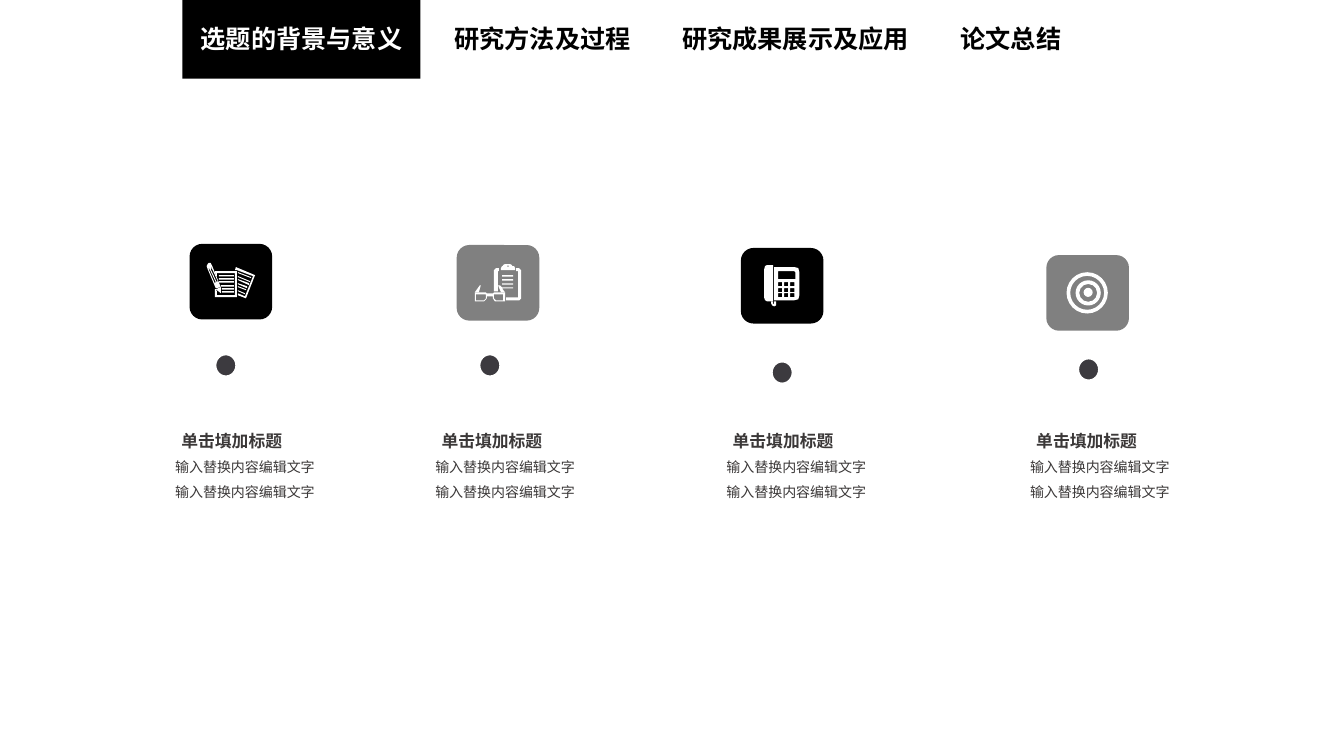
from dataclasses import dataclass

from lxml import etree
from pptx import Presentation
from pptx import util as u
from pptx.dml import color
from pptx.enum import shapes, text
from pptx.oxml import ns

Pt = u.Pt
Preset = shapes.MSO_SHAPE
Align = text.PP_ALIGN


@dataclass(frozen=True)
class Theme:
    font: str = "Noto Sans CJK SC"
    black: str = "000000"
    white: str = "FFFFFF"
    gray: str = "808080"
    dot: str = "3C3A3F"
    caption: str = "3B3838"
    tab_size: float = 18
    heading_size: float = 12
    body_size: float = 10


theme = Theme()
ICON_UNIT = 0.72  # points per step of the icon drawing grid


def paint(shape, fill):
    shape.shadow.inherit = False
    shape.fill.solid()
    shape.fill.fore_color.rgb = color.RGBColor.from_string(fill)
    shape.line.fill.background()
    return shape


def add_preset(parent, preset, box, fill):
    return paint(parent.shapes.add_shape(preset, *map(Pt, box)), fill)


# Slide
presentation = Presentation()
presentation.slide_width, presentation.slide_height = Pt(960), Pt(540)
slide = presentation.slides.add_slide(presentation.slide_layouts[5])

# Text styles
tab_style = dict(size=theme.tab_size, bold=True, fill=theme.black, align=Align.LEFT,
                 line=21.6, before=0, insets=(7.2, 3.6, 0, 3.6))
active_style = tab_style | dict(fill=theme.white, insets=(13, 17.5, 0, 0))
heading_style = dict(size=theme.heading_size, bold=True, fill=theme.caption,
                     align=Align.CENTER, line=17.3, before=0, insets=(0, 0, 0, 0))
body_style = dict(size=theme.body_size, bold=False, fill=theme.caption,
                  align=Align.CENTER, line=12, before=6, insets=(7.2, 3.6, 7.2, 3.6))

# Navigation tabs, the active one being the title
title = paint(slide.shapes.title, theme.black)
texts = [(title, (130.3, -0.7, 169.9, 56.9), ["选题的背景与意义"], active_style)]
for label, left, width in [("研究方法及过程", 317.5, 141.8),
                           ("研究成果展示及应用", 480.2, 177.8),
                           ("论文总结", 679, 87.1)]:
    texts.append((None, (left, 13.2, width, 28.8), [label], tab_style))

# Icon outlines: each icon lists shapes, each shape lists its outline and holes
papers = [
    [[(25, 28), (27, 33), (27, 29), (45, 29), (45, 51), (27, 51), (27, 47), (26, 45),
      (25, 45), (25, 53), (47, 53), (47, 27), (25, 27)]],
    [[(65, 31), (46, 23), (45, 26), (47, 26), (63, 32), (55, 52), (48, 49), (48, 51),
      (56, 54)]],
    [[(31, 49), (31, 43), (26, 45)]],
    [[(22, 21), (21, 19), (19, 19), (18, 20), (17, 22), (18, 25), (23, 23)]],
    [[(31, 43), (23, 23), (18, 25), (26, 44)],
     [(22, 24), (28, 37), (27, 38), (21, 25)],
     [(25, 39), (19, 25), (20, 25), (26, 38)]],
]
for top, right in zip((28, 32, 35, 39, 42, 46), (61, 60, 59, 57, 56, 55)):
    drop = (right - 48) * 0.38
    papers.append([[(48, top), (right, top + drop), (right, top + drop + 1.4),
                    (48, top + 1.4)]])
paper_lines = [(left, top, 44 - left, 1.4) for left, top in
               [(29, 31), (29, 34), (29, 37), (31, 41), (32, 44), (32, 47)]]

clipboard = [
    [[(18, 47), (18, 56), (27, 56), (30, 53), (30, 51), (36, 51), (36, 53), (38, 56),
      (48, 56), (48, 47), (37, 47), (36, 48), (30, 48), (29, 47)],
     [(37, 49), (46, 49), (46, 55), (39, 55), (37, 53)],
     [(19, 49), (29, 49), (29, 53), (27, 55), (19, 55)]],
    [[(18, 47), (23, 40), (24, 40), (22, 47)]],
    [[(44, 25), (58, 25), (58, 23), (57, 21), (55, 21), (55, 20), (53, 19), (48, 19),
      (46, 20), (46, 21), (45, 21), (44, 23)],
     [(50, 21), (51, 20), (52, 21), (51, 22)]],
    [[(45, 42), (56, 42), (56, 43), (45, 43), (48, 47), (44, 47), (41, 40), (43, 40)]],
    [[(42, 26), (41, 26), (41, 46), (37, 46), (37, 25), (39, 23), (42, 23)]],
    [[(61, 26), (59, 26), (59, 23), (62, 23), (64, 25), (64, 53), (62, 55), (49, 55),
      (49, 52), (61, 52)]],
]
clipboard_lines = [(45, top, 11, 1.4) for top in (30, 34, 38)]

phone_body = [
    [(53, 19), (33, 19), (33, 52), (53, 52), (57, 51), (58, 47), (58, 24), (57, 20)],
    [(37, 31), (37, 23), (53, 23), (54, 24), (54, 31)],
]
for top in (34, 39.5, 45):
    for left in (37, 43, 49):
        phone_body.append([(left, top), (left + 4, top), (left + 4, top + 4),
                           (left, top + 4)])
phone = [
    phone_body,
    [[(32, 17), (26, 17), (24, 18), (23, 22), (23, 49), (24, 52), (26, 53), (32, 53)]],
    [[(33, 55), (33, 56), (32, 55), (32, 53), (30, 53), (30, 55), (31, 57), (33, 58),
      (35, 57), (35, 53), (33, 53)]],
]
rings = [(20, 17, 41, 0.09), (29, 25, 25, 0.145)]

# Columns: tile position, tile fill, dot position, heading left, icon parts
columns = [
    ((135.4, 174.2), theme.black, (153.4, 252.7), 104.4, papers, paper_lines, []),
    ((326.2, 175), theme.gray, (342, 252.7), 290.2, clipboard, clipboard_lines, []),
    ((529.2, 177.1), theme.black, (550.8, 257.8), 498.2, phone, [], []),
    ((747.4, 182.2), theme.gray, (769.7, 255.6), 715, [], [], rings),
]
for (x, y), tile_fill, dot_at, heading_left, outlines, bars, donuts in columns:
    icon = slide.shapes.add_group_shape()
    add_preset(icon, Preset.ROUNDED_RECTANGLE, (x, y, 59, 54), tile_fill)
    for outline in outlines:
        builder = icon.shapes.build_freeform(*outline[0][0], scale=Pt(ICON_UNIT))
        builder.add_line_segments(outline[0][1:], close=True)
        for hole in outline[1:]:
            builder.move_to(*hole[0])
            builder.add_line_segments(hole[1:], close=True)
        paint(builder.convert_to_shape(Pt(x), Pt(y)), theme.white)
    for left, top, width, height in bars:
        add_preset(icon, Preset.RECTANGLE,
                   (x + left * ICON_UNIT, y + top * ICON_UNIT,
                    width * ICON_UNIT, height * ICON_UNIT), theme.white)
    for left, top, size, thickness in donuts:
        ring = add_preset(icon, Preset.DONUT,
                          (x + left * ICON_UNIT, y + top * ICON_UNIT,
                           size * ICON_UNIT, size * ICON_UNIT), theme.white)
        ring.adjustments[0] = thickness
    if donuts:
        add_preset(icon, Preset.OVAL, (x + 26.6, y + 23.4, 6.5, 6.5), theme.white)

    dot = add_preset(slide, Preset.OVAL, (*dot_at, 15.8, 16.6), theme.dot)
    dot.line.color.rgb = color.RGBColor.from_string(theme.white)
    dot.line.width = Pt(2.25)

    texts.append((None, (heading_left - 25.2, 324, 191.5, 37.4),
                  ["输入替换内容编辑文字"] * 2, body_style))
    texts.append((None, (heading_left, 305, 122.4, 20.2), ["单击填加标题"], heading_style))

# Place and format all text
for shape, box, lines, style in texts:
    shape = shape or slide.shapes.add_textbox(*map(Pt, box))
    for name, value in zip(("left", "top", "width", "height"), box):
        setattr(shape, name, Pt(value))
    frame = shape.text_frame
    frame.word_wrap = True
    frame.auto_size = text.MSO_AUTO_SIZE.NONE
    frame.vertical_anchor = text.MSO_ANCHOR.TOP
    for side, inset in zip(("left", "top", "right", "bottom"), style["insets"]):
        setattr(frame, f"margin_{side}", Pt(inset))
    frame.text = "\n".join(lines)
    for index, paragraph in enumerate(frame.paragraphs):
        layout = dict(alignment=style["align"], line_spacing=Pt(style["line"]),
                      space_before=Pt(style["before"] if index else 0))
        for name, value in layout.items():
            setattr(paragraph, name, value)
        run = paragraph.runs[0]
        for name, value in dict(name=theme.font, size=Pt(style["size"]),
                                bold=style["bold"]).items():
            setattr(run.font, name, value)
        run.font.color.rgb = color.RGBColor.from_string(style["fill"])
        etree.SubElement(run._r.get_or_add_rPr(), ns.qn("a:ea"), typeface=theme.font)

presentation.save("out.pptx")
